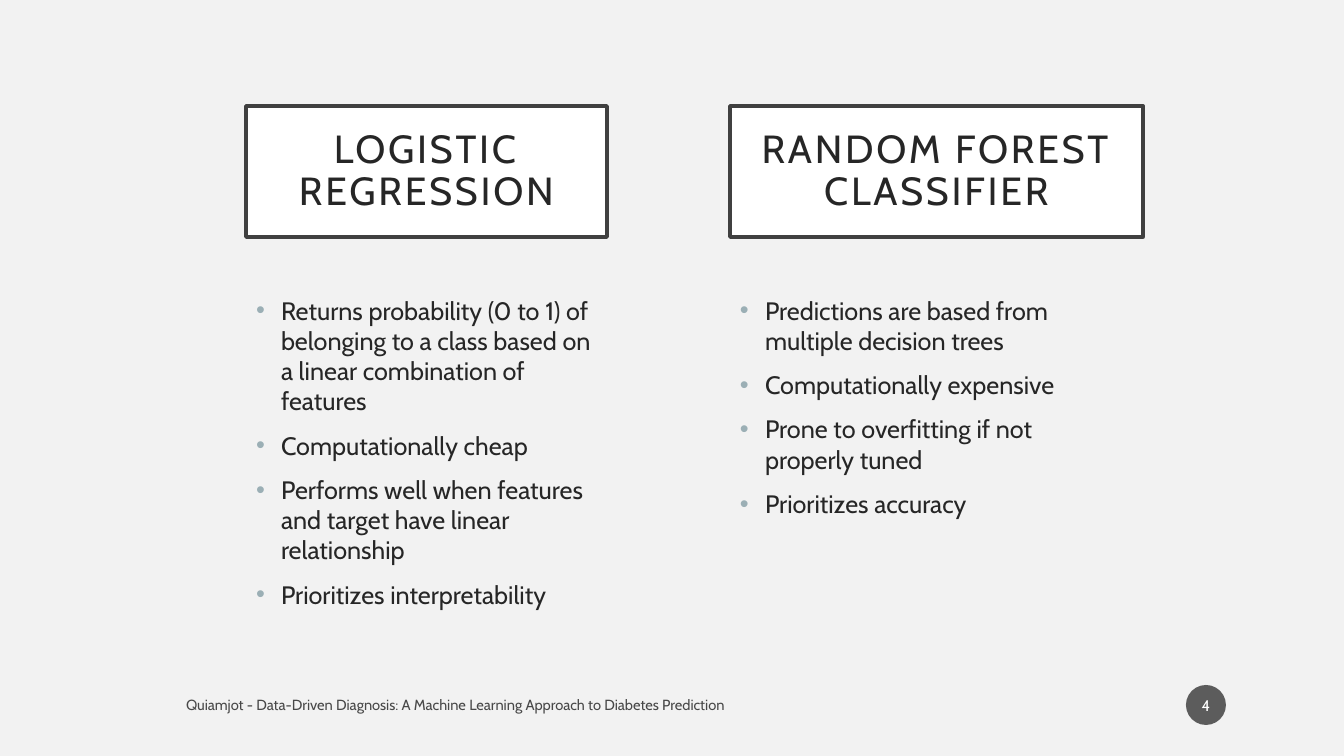
from lxml import etree
from pptx import Presentation
from pptx.dml.color import RGBColor
from pptx.enum.shapes import MSO_SHAPE
from pptx.enum.text import MSO_ANCHOR, PP_ALIGN
from pptx.oxml.ns import qn
from pptx.util import Emu, Pt

RECT, OVAL = MSO_SHAPE.RECTANGLE, MSO_SHAPE.OVAL
MIDDLE, TOP = MSO_ANCHOR.MIDDLE, MSO_ANCHOR.TOP
CENTER, LEFT = PP_ALIGN.CENTER, PP_ALIGN.LEFT

MODELS = [
    {"name": "LOGISTIC REGRESSION", "left": 246, "title_width": 361, "points": [
        "Returns probability (0 to 1) of belonging to a class based on a linear combination of features",
        "Computationally cheap",
        "Performs well when features and target have linear relationship",
        "Prioritizes interpretability",
    ]},
    {"name": "RANDOM FOREST CLASSIFIER", "left": 730, "title_width": 413, "points": [
        "Predictions are based from multiple decision trees",
        "Computationally expensive",
        "Prone to overfitting if not properly tuned",
        "Prioritizes accuracy",
    ]},
]
FOOTER = "Quiamjot - Data-Driven Diagnosis: A Machine Learning Approach to Diabetes Prediction"
PAGE = "4"

FONT = "Cabin"
COLORS = {"back": "F2F2F2", "box": "FFFFFF", "border": "404040", "text": "262626",
          "bullet": "9BAFB5", "footer": "000000", "badge": "1D1D1D", "page": "FFFFFF"}
SLIDE_W, SLIDE_H = 1344, 756
TITLE_TOP, TITLE_H = 106, 131
POINTS_TOP, POINTS_W, POINTS_H = 290, 361, 342
INDENT = 25
SCALE = 12192000 / SLIDE_W


def px(n):
    return Emu(round(n * SCALE))


def rgb(name):
    return RGBColor.from_string(COLORS[name])


def fade(fill, percent):
    clr = fill._xPr.find(qn("a:solidFill"))[0]
    etree.SubElement(clr, qn("a:alpha")).set("val", str(percent * 1000))


def add_block(s, box, shape=None, fill=None):
    if shape is None:
        return s.shapes.add_textbox(*map(px, box))
    sp = s.shapes.add_shape(shape, *map(px, box))
    sp.shadow.inherit = False
    sp.fill.solid()
    sp.fill.fore_color.rgb = rgb(fill)
    sp.line.fill.background()
    return sp


def write(sp, lines, size, color, align=LEFT, anchor=MIDDLE, inset=(10, 5)):
    tf = sp.text_frame
    tf.word_wrap = True
    tf.vertical_anchor = anchor
    tf.margin_left = tf.margin_right = px(inset[0])
    tf.margin_top = tf.margin_bottom = px(inset[1])
    tf.text = "\n".join(lines)
    for p in tf.paragraphs:
        p.alignment = align
        r = p.runs[0]
        r.font.name, r.font.size = FONT, Pt(size)
        r.font.color.rgb = rgb(color)
    return tf.paragraphs


def add_bullet(p):
    p.space_before = Pt(10)
    pPr = p._p.get_or_add_pPr()
    pPr.set("marL", str(px(INDENT)))
    pPr.set("indent", str(-px(INDENT)))
    clr = etree.SubElement(pPr, qn("a:buClr"))
    etree.SubElement(clr, qn("a:srgbClr")).set("val", COLORS["bullet"])
    etree.SubElement(pPr, qn("a:buFont")).set("typeface", "Arial")
    etree.SubElement(pPr, qn("a:buChar")).set("char", "•")


def add_model(s, model):
    left = model["left"]
    sp = add_block(s, (left, TITLE_TOP, model["title_width"], TITLE_H), RECT, "box")
    sp.line.color.rgb = rgb("border")
    sp.line.width = Pt(2.5)
    p = write(sp, [model["name"]], 28, "text", CENTER, inset=(20, 20))[0]
    p.line_spacing = 0.9
    p.runs[0].font._element.set("spc", "200")

    sp = add_block(s, (left, POINTS_TOP, POINTS_W, POINTS_H))
    for p in write(sp, model["points"], 18, "text", anchor=TOP):
        add_bullet(p)


def main():
    prs = Presentation()
    prs.slide_width, prs.slide_height = px(SLIDE_W), px(SLIDE_H)
    s = prs.slides.add_slide(prs.slide_layouts[6])
    s.background.fill.solid()
    s.background.fill.fore_color.rgb = rgb("back")

    for model in MODELS:
        add_model(s, model)

    sp = add_block(s, (176, 687, 650, 35))
    p = write(sp, [FOOTER], 10.5, "footer")[0]
    fade(p.runs[0].font.fill, 70)

    sp = add_block(s, (1186, 685, 40, 40), OVAL, "badge")
    fade(sp.fill, 70)
    write(sp, [PAGE], 11, "page", CENTER, inset=(2, 5))

    prs.save("out.pptx")


if __name__ == "__main__":
    main()
